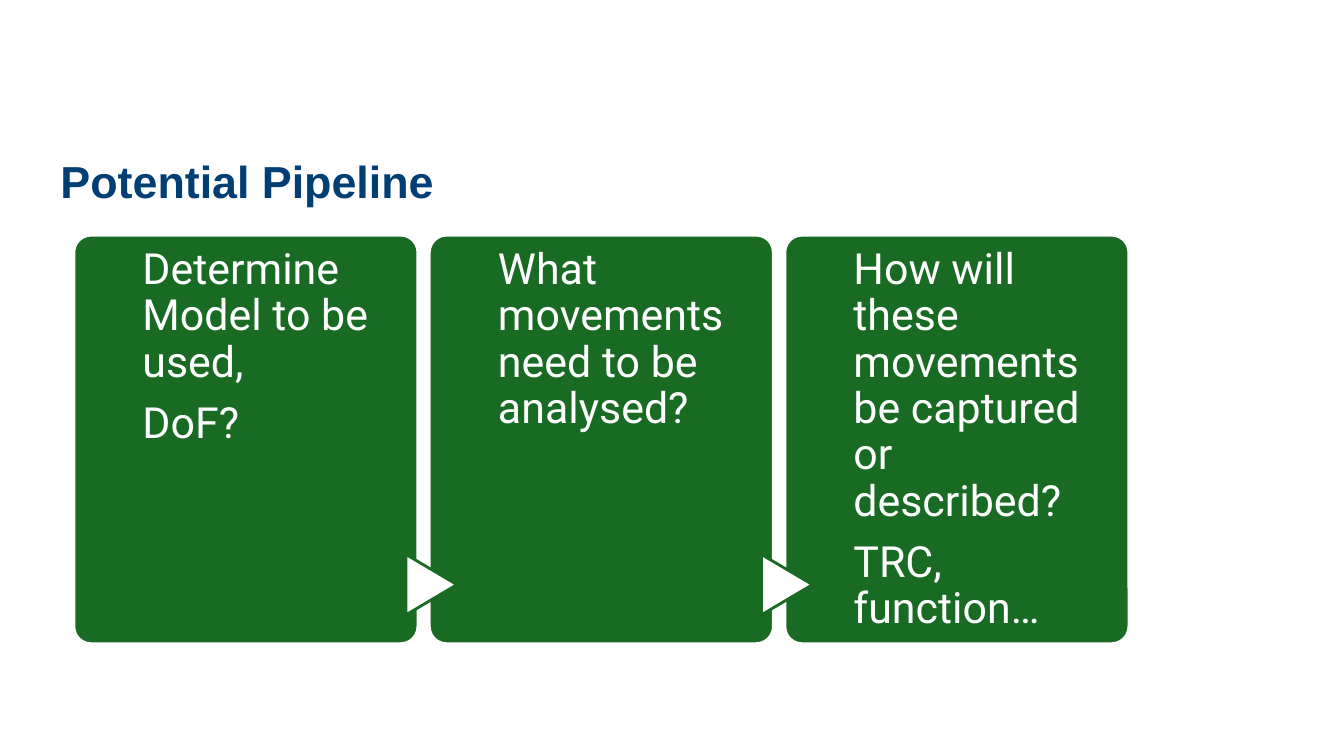
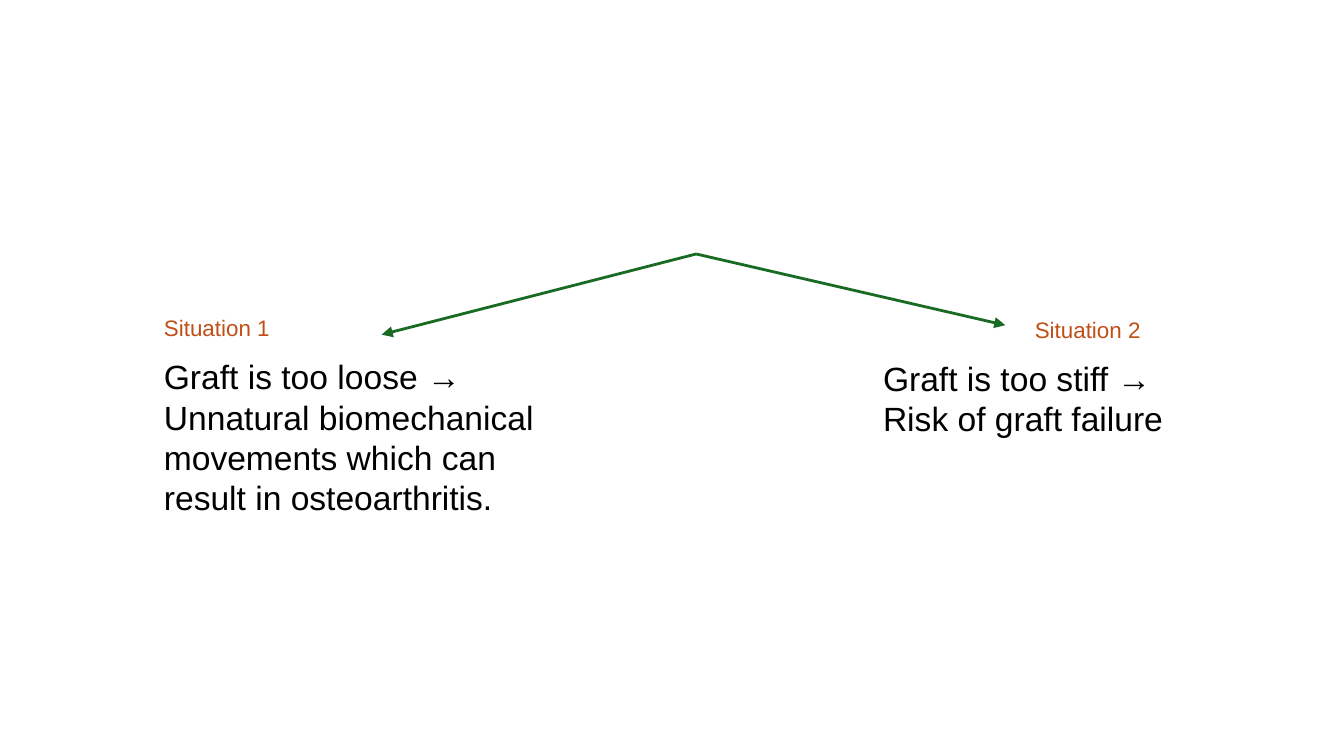
from dataclasses import dataclass
from typing import NamedTuple

from lxml.etree import SubElement
from pptx import Presentation
from pptx.dml.color import RGBColor
from pptx.enum.shapes import MSO_CONNECTOR, MSO_SHAPE
from pptx.enum.text import MSO_ANCHOR, MSO_AUTO_SIZE, PP_ALIGN
from pptx.oxml.ns import qn
from pptx.presentation import Presentation as Deck
from pptx.shapes.autoshape import Shape
from pptx.slide import Slide
from pptx.text.text import TextFrame
from pptx.util import Emu, Pt

PIXEL = 4572


def px(length: int) -> Emu:
    return Emu(length * PIXEL)


class Box(NamedTuple):
    left: int
    top: int
    width: int
    height: int

    def lengths(self) -> tuple[Emu, ...]:
        return tuple(px(length) for length in self)


class Point(NamedTuple):
    x: int
    y: int


@dataclass(frozen=True)
class TextStyle:
    font: str
    size: float
    color: RGBColor
    bold: bool = False
    before: float = 0
    after: float = 0
    line_spacing: float = 1.0


@dataclass(frozen=True)
class Theme:
    green: RGBColor = RGBColor(0x19, 0x6B, 0x24)
    white: RGBColor = RGBColor(0xFF, 0xFF, 0xFF)
    line_width: float = 1.5
    title: TextStyle = TextStyle("Arial", 24, RGBColor(0x00, 0x3E, 0x74), bold=True, before=3)
    step: TextStyle = TextStyle("Roboto", 23, RGBColor(0xFF, 0xFF, 0xFF), after=8, line_spacing=0.9)
    label: TextStyle = TextStyle("Arial", 12, RGBColor(0xC0, 0x4F, 0x15), before=1)
    detail: TextStyle = TextStyle("Arial", 18, RGBColor(0x00, 0x00, 0x00), before=2)


@dataclass(frozen=True)
class Situation:
    label: str
    label_box: Box
    detail: str
    detail_box: Box
    arrow_end: Point


THEME = Theme()
TITLE_BOX = Box(70, 218, 1800, 84)
FIRST_CARD = Box(110, 350, 512, 608)
CARD_STEP = 529
TEXT_OFFSET = 102
TEXT_WIDTH = 382
ARROW_OFFSET = -42
ARROW_TOP = 832
ARROW_WIDTH = 90
ARROW_HEIGHT = 76
FORK = Point(1036, 378)

STEPS = (
    ("Determine Model to be used,", "DoF?"),
    ("What movements need to be analysed?",),
    ("How will these movements be captured or described?", "TRC, function…"),
)

SITUATIONS = (
    Situation(
        "Situation 1",
        Box(244, 468, 460, 124),
        "Graft is too loose → Unnatural biomechanical movements which can result in osteoarthritis.",
        Box(244, 530, 620, 254),
        Point(568, 498),
    ),
    Situation(
        "Situation 2",
        Box(1540, 470, 460, 124),
        "Graft is too stiff → Risk of graft failure",
        Box(1314, 532, 476, 124),
        Point(1496, 484),
    ),
)


def write_text(frame: TextFrame, lines: tuple[str, ...], style: TextStyle) -> None:
    frame.word_wrap = True
    frame.auto_size = MSO_AUTO_SIZE.NONE
    frame.vertical_anchor = MSO_ANCHOR.TOP
    frame.text = "\n".join(lines)
    for paragraph in frame.paragraphs:
        paragraph.alignment = PP_ALIGN.LEFT
        paragraph.line_spacing = style.line_spacing
        paragraph.space_before = Pt(style.before)
        paragraph.space_after = Pt(style.after)
        paragraph.font.name = style.font
        paragraph.font.size = Pt(style.size)
        paragraph.font.bold = style.bold
        paragraph.font.color.rgb = style.color


def add_text(slide: Slide, box: Box, lines: tuple[str, ...], style: TextStyle, inset_top: int = 0) -> None:
    frame = slide.shapes.add_textbox(*box.lengths()).text_frame
    frame.margin_left = frame.margin_right = frame.margin_bottom = 0
    frame.margin_top = px(inset_top)
    write_text(frame, lines, style)


def add_shape(slide: Slide, kind: MSO_SHAPE, box: Box, fill: RGBColor, line: RGBColor) -> Shape:
    shape = slide.shapes.add_shape(kind, *box.lengths())
    shape.shadow.inherit = False
    shape.fill.solid()
    shape.fill.fore_color.rgb = fill
    shape.line.color.rgb = line
    shape.line.width = Pt(THEME.line_width)
    return shape


def add_arrow(slide: Slide, start: Point, end: Point) -> None:
    connector = slide.shapes.add_connector(
        MSO_CONNECTOR.STRAIGHT, px(start.x), px(start.y), px(end.x), px(end.y)
    )
    connector.line.color.rgb = THEME.green
    connector.line.width = Pt(THEME.line_width)
    properties = connector.element.find(qn("p:spPr"))
    SubElement(properties.find(qn("a:ln")), qn("a:tailEnd"), type="triangle")
    SubElement(properties, qn("a:effectLst"))


def add_step(slide: Slide, index: int, lines: tuple[str, ...]) -> None:
    card_box = FIRST_CARD._replace(left=FIRST_CARD.left + index * CARD_STEP)
    card = add_shape(slide, MSO_SHAPE.ROUNDED_RECTANGLE, card_box, THEME.green, THEME.white)
    card.adjustments[0] = 0.05
    if index > 0:
        arrow_box = Box(card_box.left + ARROW_OFFSET, ARROW_TOP, ARROW_WIDTH, ARROW_HEIGHT)
        arrow = add_shape(slide, MSO_SHAPE.FLOWCHART_EXTRACT, arrow_box, THEME.white, THEME.green)
        arrow.rotation = 90
    text_box = card_box._replace(left=card_box.left + TEXT_OFFSET, width=TEXT_WIDTH)
    add_text(slide, text_box, lines, THEME.step, inset_top=18)


def build_pipeline(presentation: Deck) -> None:
    slide = presentation.slides.add_slide(presentation.slide_layouts[5])
    title = slide.shapes.title
    title.left, title.top, title.width, title.height = TITLE_BOX.lengths()
    write_text(title.text_frame, ("Potential Pipeline",), THEME.title)
    for index, lines in enumerate(STEPS):
        add_step(slide, index, lines)


def build_situations(presentation: Deck) -> None:
    slide = presentation.slides.add_slide(presentation.slide_layouts[6])
    for situation in SITUATIONS:
        add_text(slide, situation.detail_box, (situation.detail,), THEME.detail)
        add_arrow(slide, FORK, situation.arrow_end)
        add_text(slide, situation.label_box, (situation.label,), THEME.label)


def main() -> None:
    presentation = Presentation()
    presentation.slide_width = px(2000)
    presentation.slide_height = px(1125)
    build_pipeline(presentation)
    build_situations(presentation)
    presentation.save("out.pptx")


if __name__ == "__main__":
    main()
